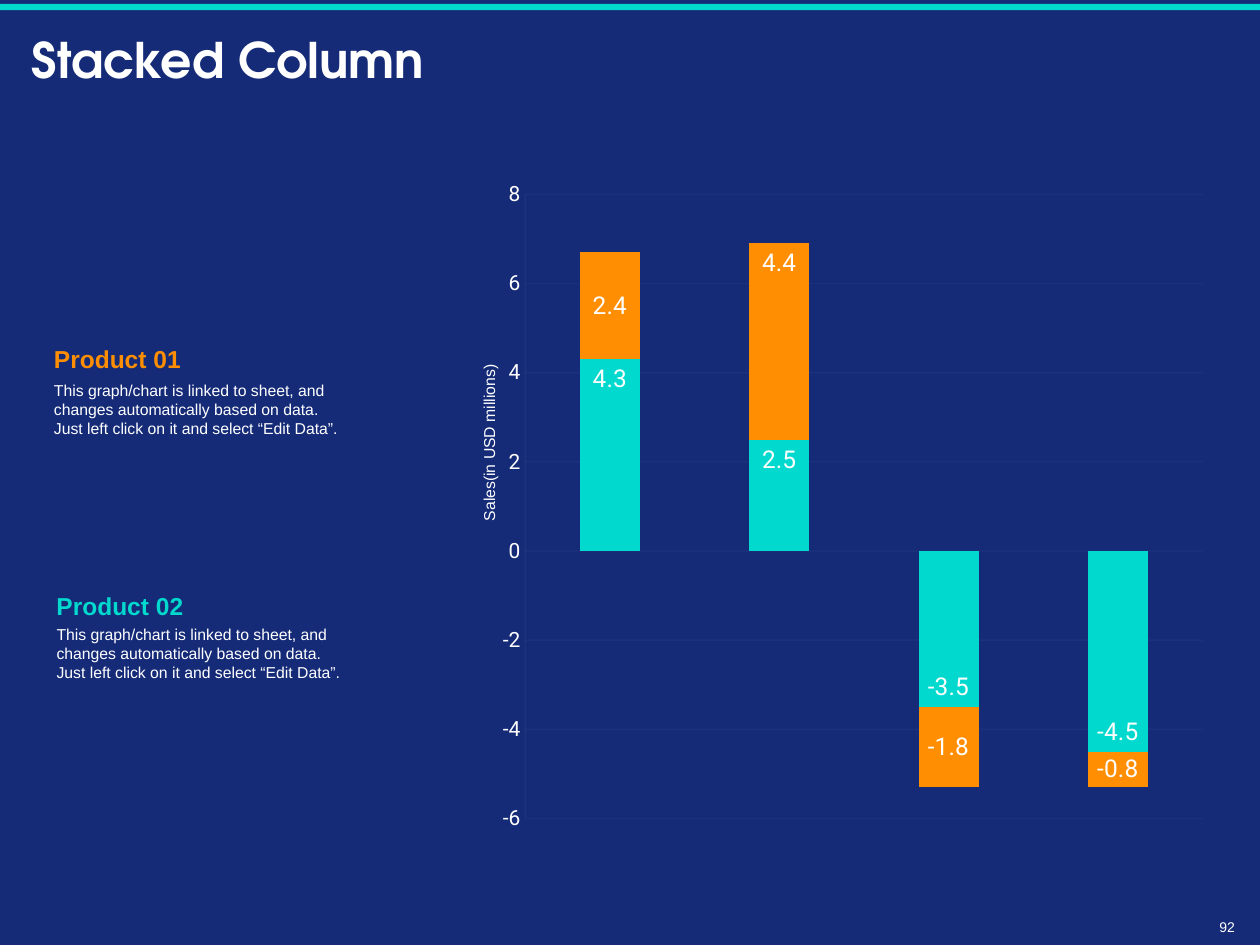
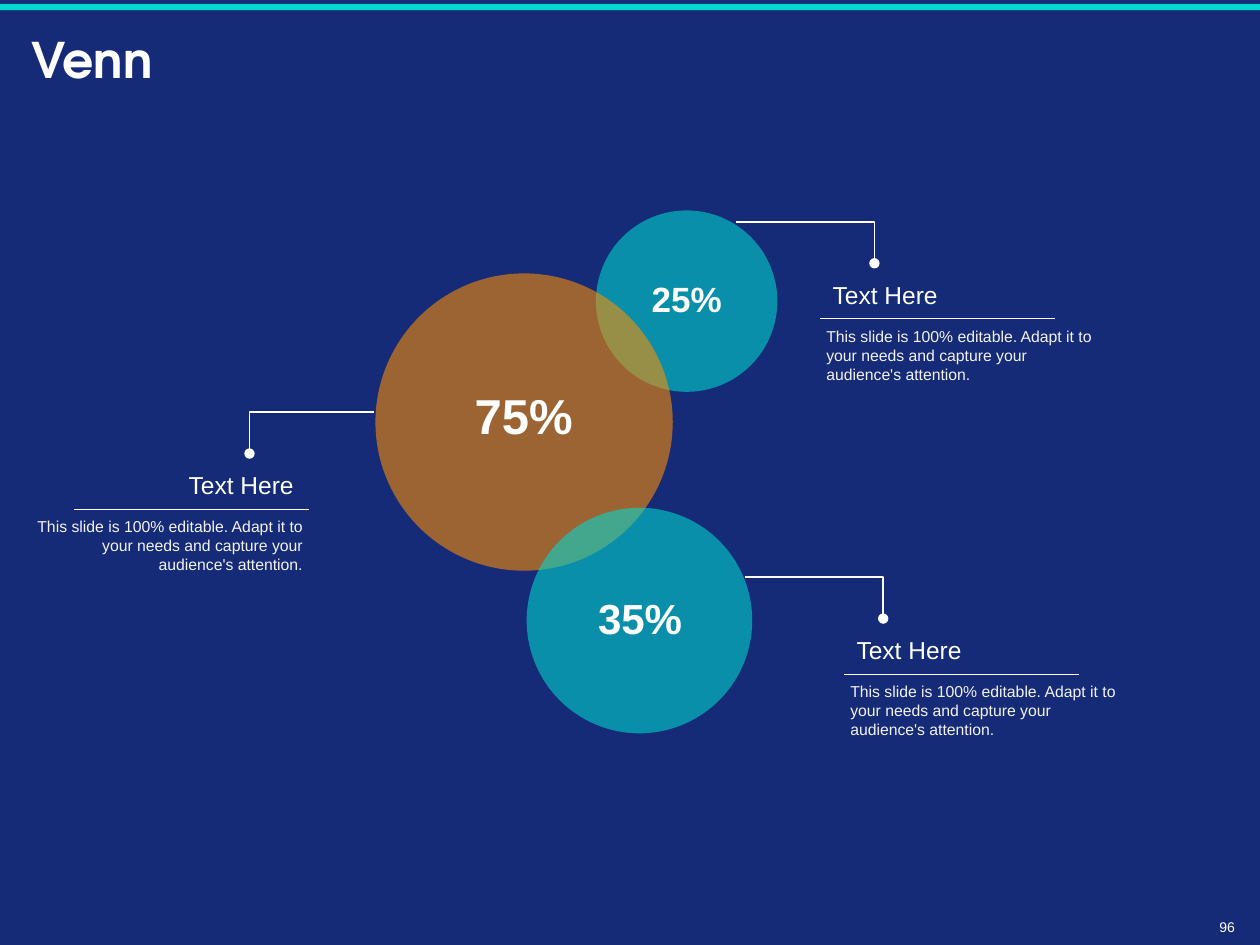
from dataclasses import dataclass
from pptx import Presentation
from pptx.chart.data import CategoryChartData
from pptx.dml.color import RGBColor
from pptx.enum.chart import XL_CHART_TYPE, XL_LABEL_POSITION, XL_TICK_MARK
from pptx.enum.shapes import MSO_CONNECTOR, MSO_SHAPE
from pptx.enum.text import MSO_ANCHOR, PP_ALIGN
from pptx.oxml import parse_xml
from pptx.oxml.ns import nsdecls
from pptx.util import Inches, Pt


@dataclass(frozen=True)
class Theme:
    navy: str = "152B77"
    teal: str = "01D9CE"
    orange: str = "FF8E02"
    white: str = "FFFFFF"
    soft: str = "F2F2F2"
    grid: str = "C0CCF4"
    body_font: str = "Arial"
    title_font: str = "TeX Gyre Adventor"
    chart_font: str = "Roboto"
    title: int = 28
    heading: int = 14
    tick: int = 12
    body: int = 9
    page: int = 8
    circle_alpha: int = 58
    grid_alpha: int = 4


def rgb(color):
    return RGBColor.from_string(color)


def set_font(font, name, size, color, bold=False):
    font.name, font.size, font.bold = name, Pt(size), bold
    font.color.rgb = rgb(color)


def set_alpha(element, query, percent):
    for color in element.xpath(query):
        color.append(parse_xml(f'<a:alpha {nsdecls("a")} val="{percent * 1000}"/>'))


class Deck:
    COLUMNS, ROWS = 100, 75

    def __init__(self, theme):
        self.theme = theme
        self.prs = Presentation()
        self.prs.slide_width, self.prs.slide_height = Inches(10), Inches(7.5)
        self.s = None

    def x(self, columns):
        return round(self.prs.slide_width * columns / self.COLUMNS)

    def y(self, rows):
        return round(self.prs.slide_height * rows / self.ROWS)

    def place(self, left, top, width, height):
        return self.x(left), self.y(top), self.x(width), self.y(height)

    def slide(self, title, number):
        t = self.theme
        self.s = self.prs.slides.add_slide(self.prs.slide_layouts[6])
        self.s.background.fill.solid()
        self.s.background.fill.fore_color.rgb = rgb(t.navy)
        self.shape(MSO_SHAPE.RECTANGLE, (0, 0.3, 100, 0.5), t.teal)
        heading = self.text(title, (1.5, 1.1, 97, 7.8), t.title, bold=True,
                            font=t.title_font, middle=True)
        heading.text_frame.paragraphs[0].line_spacing = 0.9
        self.text(str(number), (94.8, 72.5, 4.2, 2.1), t.page,
                  align=PP_ALIGN.RIGHT, middle=True)

    def shape(self, kind, box, color, alpha=None):
        sp = self.s.shapes.add_shape(kind, *self.place(*box))
        sp.shadow.inherit = False
        sp.fill.solid()
        sp.fill.fore_color.rgb = rgb(color)
        sp.line.fill.background()
        if alpha:
            set_alpha(sp.element, "./p:spPr/a:solidFill/a:srgbClr", alpha)
        return sp

    def text(self, text, box, size, color=None, bold=False, font=None,
             align=PP_ALIGN.LEFT, middle=False, wrap=True):
        sp = self.s.shapes.add_textbox(*self.place(*box))
        tf = sp.text_frame
        tf.text = text
        tf.word_wrap = wrap
        tf.vertical_anchor = MSO_ANCHOR.MIDDLE if middle else MSO_ANCHOR.TOP
        p = tf.paragraphs[0]
        p.alignment = align
        for r in p.runs:
            set_font(r.font, font or self.theme.body_font, size,
                     color or self.theme.white, bold)
        return sp

    def rule(self, left, right, row):
        line = self.s.shapes.add_connector(MSO_CONNECTOR.STRAIGHT, self.x(left),
                                           self.y(row), self.x(right), self.y(row))
        line.line.color.rgb = rgb(self.theme.white)
        line.line.width = Pt(0.5)
        line.element.spPr.append(parse_xml(f'<a:effectLst {nsdecls("a")}/>'))

    def elbow(self, start, bend, top, bottom):
        builder = self.s.shapes.build_freeform(self.x(start), self.y(top))
        builder.add_line_segments([(self.x(bend), self.y(top)),
                                   (self.x(bend), self.y(bottom))], close=False)
        sp = builder.convert_to_shape()
        sp.shadow.inherit = False
        sp.fill.background()
        sp.line.color.rgb = rgb(self.theme.white)
        sp.line.width = Pt(1)
        for ln in sp.element.xpath("./p:spPr/a:ln"):
            ln.append(parse_xml(f'<a:tailEnd {nsdecls("a")} type="oval"/>'))

    def product(self, name, color, left, name_row, body_row):
        t = self.theme
        self.text("This graph/chart is linked to sheet, and changes automatically "
                  "based on data. Just left click on it and select “Edit Data”.",
                  (left, body_row, 25.5, 5.6), t.body)
        self.text(name, (left, name_row, 12.4, 3.4), t.heading, color, bold=True, wrap=False)

    def bubble(self, text, size, color, circle, label):
        self.shape(MSO_SHAPE.OVAL, circle, color, self.theme.circle_alpha)
        self.text(text, label, size, bold=True, align=PP_ALIGN.CENTER, wrap=False)

    def callout(self, left, row, start, bend, on_left=False):
        t = self.theme
        right = left + 18.6
        align = PP_ALIGN.RIGHT if on_left else PP_ALIGN.LEFT
        head_left = right - 10.6 if on_left else left
        body_left = right - 23 if on_left else left - 0.5
        self.elbow(start, bend, row - 7.7, row - 4.4)
        self.text("This slide is 100% editable. Adapt it to your needs and capture "
                  "your audience's attention.", (body_left, row + 0.1, 23.5, 5.6),
                  t.body, t.soft, align=align, middle=True)
        self.text("Text Here", (head_left, row - 3.6, 10.4, 3.4), t.heading,
                  align=align, wrap=False)
        self.rule(left, right, row)

    def stacked_columns(self, box, categories, series):
        t = self.theme
        data = CategoryChartData()
        data.categories = categories
        for name, values, *_ in series:
            data.add_series(name, values)
        chart = self.s.shapes.add_chart(XL_CHART_TYPE.COLUMN_STACKED,
                                        *self.place(*box), data).chart
        chart.has_legend = chart.has_title = False
        set_font(chart.font, t.chart_font, t.heading, t.white)
        chart.category_axis.visible = False
        axis = chart.value_axis
        axis.minimum_scale, axis.maximum_scale, axis.major_unit = -6, 8, 2
        axis.major_tick_mark = axis.minor_tick_mark = XL_TICK_MARK.NONE
        set_font(axis.tick_labels.font, t.chart_font, t.tick, t.white)
        for line, color in ((axis.format.line, t.white),
                            (axis.major_gridlines.format.line, t.grid)):
            line.color.rgb = rgb(color)
            line.width = Pt(0.75)
        set_alpha(chart.element, ".//c:valAx//a:ln//a:srgbClr", t.grid_alpha)
        plot = chart.plots[0]
        plot.gap_width, plot.overlap, plot.vary_by_categories = 182, 100, False
        for ser, (_, _, color, position) in zip(plot.series, series):
            ser.invert_if_negative = False
            ser.format.fill.solid()
            ser.format.fill.fore_color.rgb = rgb(color)
            labels = ser.data_labels
            labels.show_value = True
            labels.position = position
            set_font(labels.font, t.chart_font, t.heading, t.white)
        self.layout_plot(chart, 0.03, 0.02, 0.97, 0.96)
        return chart

    def layout_plot(self, chart, x, y, w, h):
        area = chart.element.xpath(".//c:plotArea")[0]
        for old in area.xpath("./c:layout"):
            area.remove(old)
        area.insert(0, parse_xml(
            f'<c:layout {nsdecls("c")}><c:manualLayout><c:layoutTarget val="inner"/>'
            '<c:xMode val="edge"/><c:yMode val="edge"/>'
            f'<c:x val="{x}"/><c:y val="{y}"/><c:w val="{w}"/><c:h val="{h}"/>'
            '</c:manualLayout></c:layout>'))

    def raise_label(self, chart, series, point):
        label = chart.plots[0].series[series].points[point].data_label
        set_font(label.font, self.theme.chart_font, self.theme.heading, self.theme.white)
        label.position = XL_LABEL_POSITION.INSIDE_END


def column_slide(deck):
    t = deck.theme
    deck.slide("Stacked Column", 92)
    chart = deck.stacked_columns(
        (39.9, 14.4, 55.6, 51.6), ["1", "2", "3", "4"],
        [("Series 1", (4.3, 2.5, -3.5, -4.5), t.teal, XL_LABEL_POSITION.INSIDE_END),
         ("Series 2", (2.4, 4.4, -1.8, -0.8), t.orange, XL_LABEL_POSITION.CENTER)])
    deck.raise_label(chart, 1, 1)
    axis_title = deck.text("Sales(in USD millions)", (25.9, 33.9, 25.8, 2.5), t.body,
                           align=PP_ALIGN.CENTER, middle=True)
    axis_title.rotation = 270
    deck.product("Product 01", t.orange, 3.3, 26.8, 29.7)
    deck.product("Product 02", t.teal, 3.5, 46.4, 49.1)


def venn_slide(deck):
    t = deck.theme
    deck.slide("Venn", 96)
    deck.bubble("25%", 20, t.teal, (47.3, 16.7, 14.4, 14.4), (50.7, 21.5, 7.6, 4.4))
    deck.bubble("75%", 28, t.orange, (29.8, 21.7, 23.6, 23.6), (36.6, 30.1, 9.9, 5.7))
    deck.bubble("35%", 24, t.teal, (41.8, 40.3, 17.9, 17.9), (46.3, 46.5, 9, 5.2))
    deck.callout(65.1, 25.3, 58.4, 69.4)
    deck.callout(5.9, 40.4, 29.7, 19.8, on_left=True)
    deck.callout(67, 53.5, 59.1, 70.1)


def main():
    deck = Deck(Theme())
    column_slide(deck)
    venn_slide(deck)
    deck.prs.save("out.pptx")


if __name__ == "__main__":
    main()
